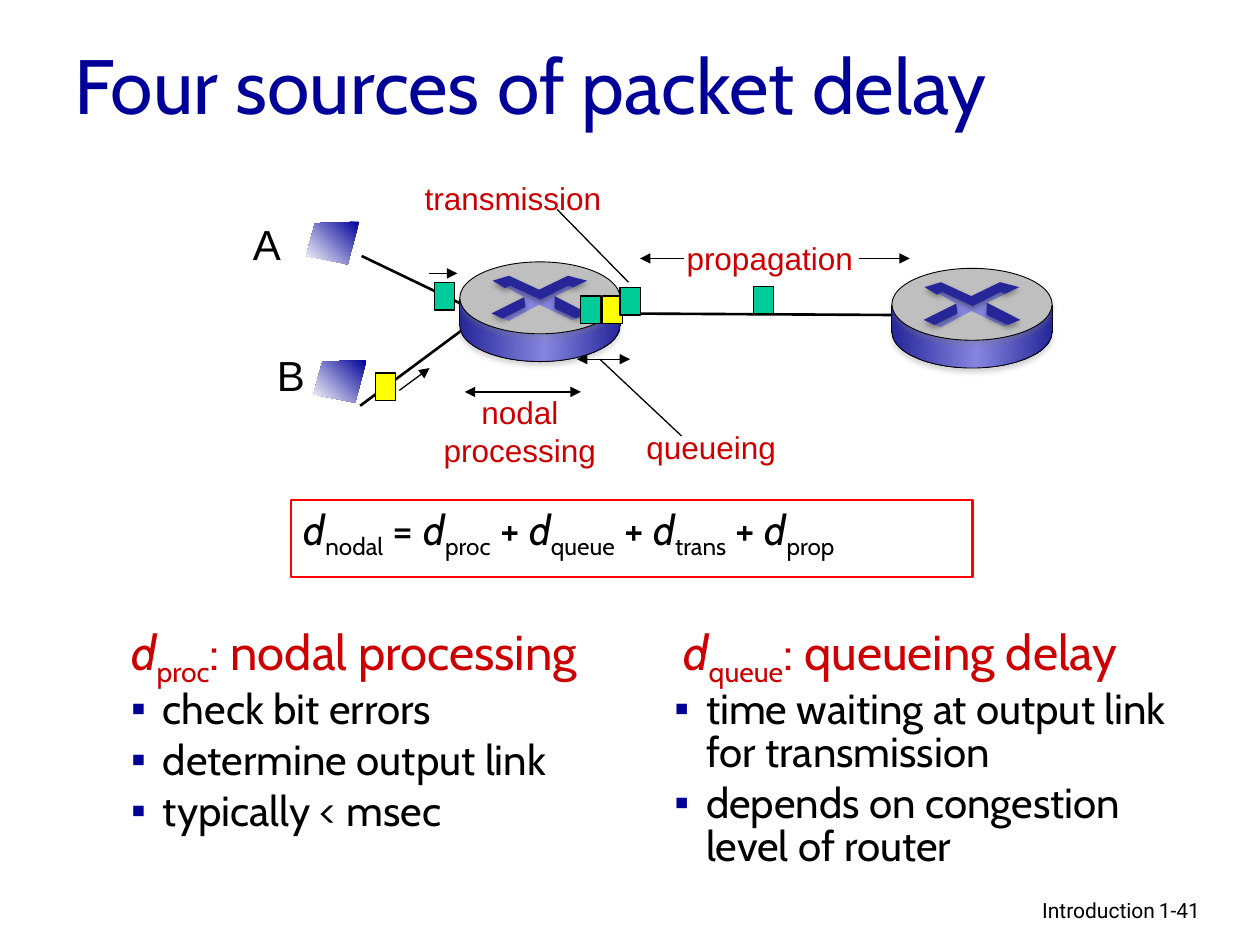
from copy import deepcopy

from lxml import etree
from pptx import Presentation
from pptx.dml.color import RGBColor
from pptx.enum.shapes import MSO_CONNECTOR, MSO_SHAPE
from pptx.enum.text import MSO_ANCHOR, MSO_AUTO_SIZE, PP_ALIGN
from pptx.oxml.ns import qn
from pptx.util import Cm, Pt

LEFT, CENTER, RIGHT = PP_ALIGN.LEFT, PP_ALIGN.CENTER, PP_ALIGN.RIGHT
TOP, MIDDLE = MSO_ANCHOR.TOP, MSO_ANCHOR.MIDDLE
NO_FIT, GROW = MSO_AUTO_SIZE.NONE, MSO_AUTO_SIZE.SHAPE_TO_FIT_TEXT
STRAIGHT = MSO_CONNECTOR.STRAIGHT
RECTANGLE, OVAL = MSO_SHAPE.RECTANGLE, MSO_SHAPE.OVAL
BLACK, RED, NAVY = "000000", "CC0000", "000099"
GREEN, YELLOW = "00CC99", "FFFF00"
DARK, LIGHT = "262699", "8585E0"
METAL = [(0, DARK), (0.53, LIGHT), (1, DARK)]
SCREEN = [(0, NAVY), (1, "FFFFFF")]


def color(value):
    return RGBColor.from_string(value)


def add_line(x1, y1, x2, y2, width, ends=()):
    line = slide.shapes.add_connector(STRAIGHT, Cm(x1), Cm(y1), Cm(x2), Cm(y2))
    line.line.color.rgb = color(BLACK)
    line.line.width = Pt(width)
    properties = line._element.spPr
    for end in ends:
        etree.SubElement(properties.find(qn("a:ln")), qn(end), type="triangle")
    etree.SubElement(properties, qn("a:effectLst"))


deck = Presentation()
deck.slide_width, deck.slide_height = Cm(25.4), Cm(19.05)
slide = deck.slides.add_slide(deck.slide_layouts[3])
shapes = slide.shapes

# Links
for link in [(7.29, 5.16, 9.35, 6.15), (12.62, 6.32, 18.01, 6.35),
             (7.26, 8.18, 9.32, 6.65)]:
    add_line(*link, 1.5)

# Routers: metal body, grey top, crossed arrows
router_parts = [(OVAL, 0.56, 1.45, METAL), (RECTANGLE, 0.74, 0.53, METAL),
                (OVAL, 0, 1.45, None)]
cross = [(1.6, 0.86), (0.99, 1.19), (0.81, 1.12), (1.32, 0.91), (1.3, 0.71),
         (0.94, 0.51), (1.07, 0.48), (1.6, 0.74), (2.16, 0.46), (2.31, 0.51),
         (1.91, 0.69), (1.98, 0.97), (2.39, 1.12), (2.26, 1.17)]
upper_arrows = [(0.66, 0.38), (0.99, 0.28), (1.6, 0.56), (2.18, 0.28),
                (2.57, 0.38), (2.29, 0.51), (2.18, 0.48), (1.63, 0.76),
                (1.02, 0.48), (0.91, 0.53)]
right_arrow = [(1.91, 0.69), (2.59, 1.04), (2.34, 1.14), (1.91, 0.94)]
left_arrow = [(1.3, 0.71), (1.32, 0.91), (0.86, 1.14), (0.64, 1.04)]
symbols = [(cross, LIGHT), (upper_arrows, DARK), (right_arrow, DARK),
           (left_arrow, DARK)]
shaded, shadowed = [], []
router_width = 3.23
for x, y in [(9.27, 5.28), (17.98, 5.41)]:
    for kind, top, height, stops in router_parts:
        part = shapes.add_shape(kind, Cm(x), Cm(y + top), Cm(router_width), Cm(height))
        part.shadow.inherit = False
        if stops:
            shaded.append((part, stops, 0))
        else:
            part.fill.solid()
            part.fill.fore_color.rgb = color("BFBFBF")
        if kind == OVAL:
            part.line.color.rgb = color(BLACK)
            part.line.width = Pt(0.5)
            shadowed.append((part, "808080"))
        else:
            part.line.fill.background()
    for outline, fill in symbols:
        points = [(Cm(x + dx), Cm(y + dy)) for dx, dy in outline]
        builder = shapes.build_freeform(*points[0], scale=1.0)
        builder.add_line_segments(points[1:], close=True)
        symbol = builder.convert_to_shape()
        symbol.shadow.inherit = False
        symbol.fill.solid()
        symbol.fill.fore_color.rgb = color(fill)
        symbol.line.fill.background()
        if fill == DARK:
            shadowed.append((symbol, BLACK))
    for side in (x, x + router_width):
        add_line(side, y + 0.74, side, y + 1.3, 0.5)

# Host screens
screen_outline = [(1.07, 0), (0.18, 0.03), (0, 0.69), (0.84, 0.86)]
for x, y in [(6.17, 4.47), (6.32, 7.26)]:
    points = [(Cm(x + dx), Cm(y + dy)) for dx, dy in screen_outline]
    builder = shapes.build_freeform(*points[0], scale=1.0)
    builder.add_line_segments(points[1:], close=True)
    screen = builder.convert_to_shape()
    screen.shadow.inherit = False
    screen.line.fill.background()
    shaded.append((screen, SCREEN, 225))

# Gradients and soft shadows
for shape, stops, angle in shaded:
    shape.fill.gradient()
    shape.fill.gradient_angle = angle
    stop_list = shape._element.spPr.find(".//" + qn("a:gsLst"))
    if len(stops) == 3:
        stop_list.insert(1, deepcopy(stop_list[0]))
    for stop, (position, value) in zip(shape.fill.gradient_stops, stops):
        stop.position = position
        stop.color.rgb = color(value)
for shape, value in shadowed:
    effects = shape._element.spPr.find(qn("a:effectLst"))
    shadow = etree.SubElement(effects, qn("a:outerShdw"), blurRad=str(Pt(3.1)),
                              dist=str(Pt(1.8)), dir="5400000", rotWithShape="0")
    shade = etree.SubElement(shadow, qn("a:srgbClr"), val=value)
    etree.SubElement(shade, qn("a:alpha"), val="35000")

# Packets
for x, y, fill in [(15.19, 5.77, GREEN), (11.71, 5.97, GREEN), (12.14, 5.97, YELLOW),
                   (12.5, 5.79, GREEN), (8.76, 5.69, GREEN), (7.57, 7.52, YELLOW)]:
    packet = shapes.add_shape(RECTANGLE, Cm(x), Cm(y), Cm(0.41), Cm(0.56))
    packet.shadow.inherit = False
    packet.fill.solid()
    packet.fill.fore_color.rgb = color(fill)
    packet.line.color.rgb = color(BLACK)
    packet.line.width = Pt(0.75)

# Arrows and leader lines
one_way, two_way = ("a:tailEnd",), ("a:headEnd", "a:tailEnd")
for x1, y1, x2, y2, ends in [
        (17.32, 5.21, 18.34, 5.21, one_way), (13.79, 5.21, 12.9, 5.21, one_way),
        (8.64, 5.51, 9.22, 5.51, one_way), (8.05, 7.87, 8.66, 7.42, one_way),
        (11.71, 7.9, 9.37, 7.9, two_way), (12.7, 7.24, 11.63, 7.24, two_way),
        (13.74, 8.79, 12.09, 7.24, ()), (11.23, 4.22, 12.67, 5.69, ())]:
    add_line(x1, y1, x2, y2, 0.75, ends)

# Diagram labels and footer
for text, x, y, width, height, size, font, value, align in [
        ("transmission", 8.31, 3.48, 4.1, 1.02, 18, "Arial", RED, LEFT),
        ("propagation", 13.59, 4.7, 3.86, 1.02, 18, "Arial", RED, LEFT),
        ("nodal\nprocessing", 8.69, 7.8, 3.58, 1.78, 18, "Arial", RED, CENTER),
        ("queueing", 12.78, 8.51, 3.12, 1.02, 18, "Arial", RED, LEFT),
        ("A", 4.85, 4.29, 1.12, 1.27, 24, "Arial", BLACK, LEFT),
        ("B", 5.33, 6.93, 1.07, 1.27, 24, "Arial", BLACK, LEFT),
        ("Introduction", 15.49, 17.96, 8.05, 0.79, 12, "Roboto", BLACK, RIGHT),
        ("1-41", 23.11, 17.96, 1.88, 0.76, 12, "Roboto", BLACK, LEFT)]:
    label = shapes.add_textbox(Cm(x), Cm(y), Cm(width), Cm(height))
    in_footer = font == "Roboto"
    label.text_frame.word_wrap = in_footer
    label.text_frame.auto_size = NO_FIT if in_footer else GROW
    label.text_frame.text = text
    for para in label.text_frame.paragraphs:
        para.alignment = align
        para.font.size, para.font.name = Pt(size), font
        para.font.color.rgb = color(value)

# Title, formula and lists; d marks the italic symbol, _ a subscript
formula = shapes.add_shape(RECTANGLE, 0, 0, 0, 0)
formula.shadow.inherit = False
formula.fill.background()
formula.line.color.rgb = color("FF0000")
formula.line.width = Pt(1.5)
title, processing, queueing = slide.placeholders
for box, place, anchor, lines in [
        (title, (1.24, 0.56, 21.59, 2.26), MIDDLE,
         [(44, NAVY, 0, 0, ["Four sources of packet delay"])]),
        (formula, (5.87, 10.08, 13.74, 1.55), TOP,
         [(24, BLACK, 0.79, 0, ["d", "_nodal", " = ", "d", "_proc", " + ", "d", "_queue",
                                " + ", "d", "_trans", " + ", "d", "_prop"])]),
        (processing, (2.39, 12.47, 10.59, 4.55), TOP,
         [(28, RED, 0.97, 0, ["d", "_proc", ": nodal processing"]),
          (24, BLACK, 0.64, 0, ["check bit errors"]),
          (24, BLACK, 0.64, 0, ["determine output link"]),
          (24, BLACK, 0.64, 0, ["typically < msec"])]),
        (queueing, (13.34, 12.47, 10.59, 6.07), TOP,
         [(28, RED, 0.97, 0.18, ["d", "_queue", ": queueing delay"]),
          (24, BLACK, 0.64, 0, ["time waiting at output link for transmission"]),
          (24, BLACK, 0.64, 0, ["depends on congestion level of router"])])]:
    box.left, box.top, box.width, box.height = [Cm(length) for length in place]
    frame = box.text_frame
    frame.word_wrap, frame.auto_size, frame.vertical_anchor = True, NO_FIT, anchor
    for number, (size, value, margin, start, runs) in enumerate(lines):
        para = frame.add_paragraph() if number else frame.paragraphs[0]
        layout = para._p.get_or_add_pPr()
        layout.set("marL", str(Cm(margin)))
        layout.set("indent", str(Cm(start - margin)))
        if number:
            bullet_color = etree.SubElement(layout, qn("a:buClr"))
            etree.SubElement(bullet_color, qn("a:srgbClr"), val=NAVY)
            etree.SubElement(layout, qn("a:buFont"), typeface="Arial")
            etree.SubElement(layout, qn("a:buChar"), char="▪")
        else:
            etree.SubElement(layout, qn("a:buNone"))
            para.space_before = Pt(0)
        para.alignment = LEFT
        para.line_spacing = 1.0 if box is title else 0.85
        for text in runs:
            span = para.add_run()
            span.text = text.lstrip("_")
            span.font.name, span.font.size = "Cabin", Pt(size)
            span.font.color.rgb = color(value)
            span.font.italic = text == "d"
            if text.startswith("_"):
                span.font._element.set("baseline", "-25000")

deck.save("out.pptx")
